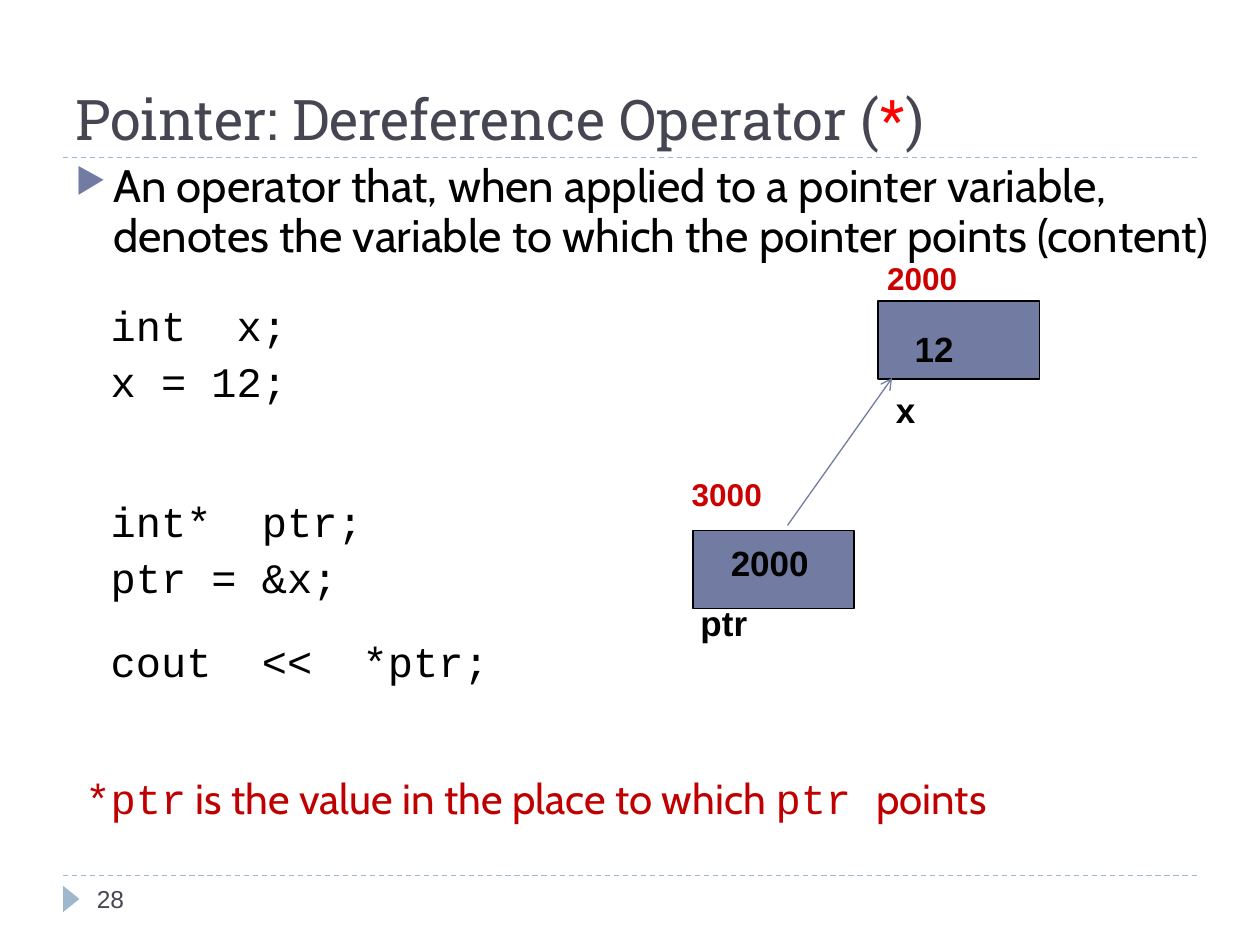
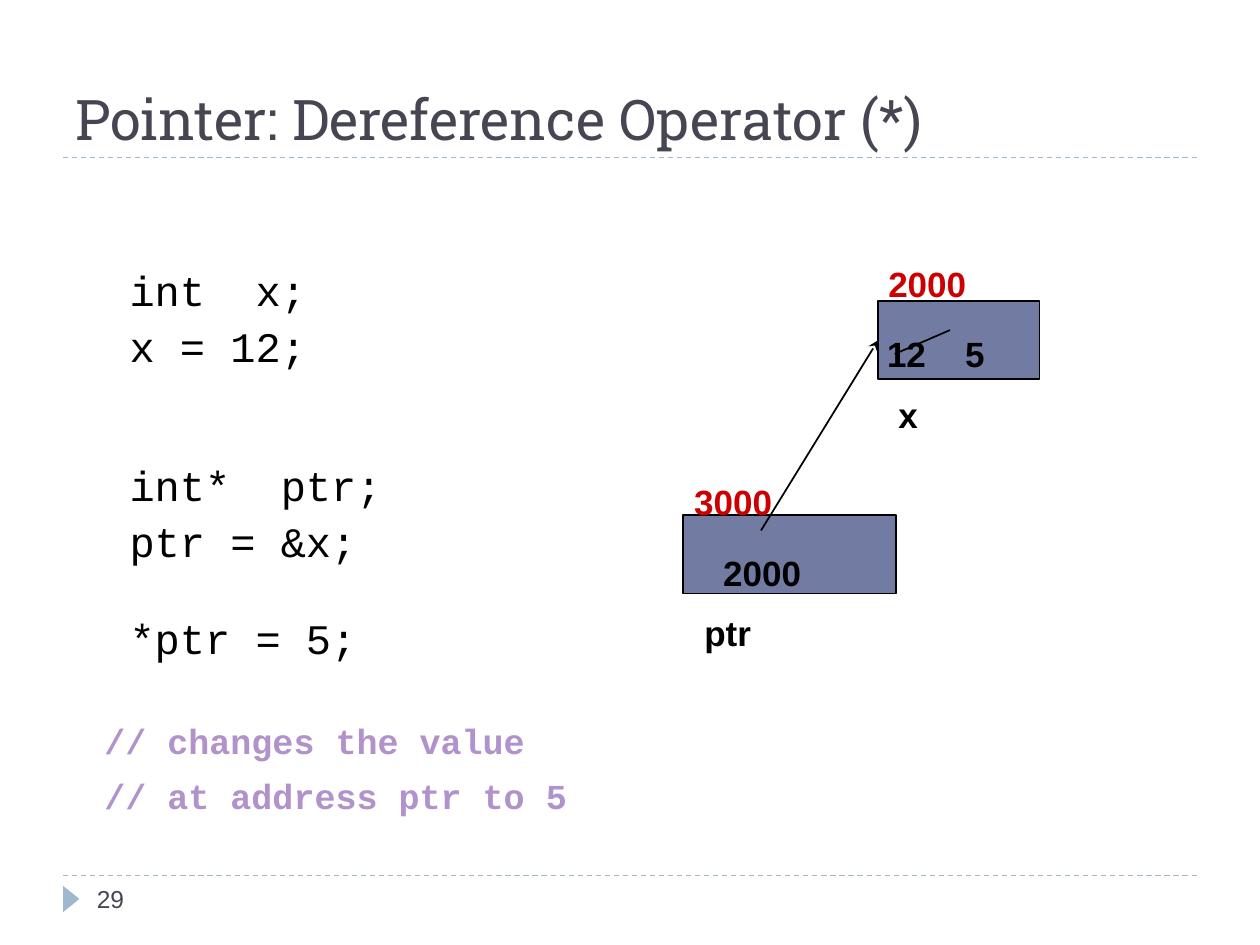
from lxml import etree
from pptx import Presentation
from pptx.dml.color import RGBColor
from pptx.enum.dml import MSO_LINE_DASH_STYLE as Dash
from pptx.enum.shapes import MSO_CONNECTOR as Link, MSO_SHAPE as Preset
from pptx.enum.text import MSO_ANCHOR as Anchor
from pptx.oxml.ns import qn
from pptx.util import Inches, Pt

tint = RGBColor.from_string
INK, SLATE, PALE, BLACK = "464653", "727CA3", "9FB8CD", "000000"
ADDRESS, NOTE, REMARK = "CC0000", "C00000", "B292CA"
HEAD, BODY, CODE, PLAIN = "Roboto Slab", "Cabin", "Courier New", "Arial"

deck = Presentation()
deck.slide_width, deck.slide_height = Inches(10), Inches(7.5)
COL, ROW = deck.slide_width / 100, deck.slide_height / 75


def write(slide, left, top, width, height, paragraphs):
    frame = slide.shapes.add_textbox(
        int(left * COL), int(top * ROW), int(width * COL), int(height * ROW)
    ).text_frame
    frame.word_wrap = True
    for index, pieces in enumerate(paragraphs):
        paragraph = frame.add_paragraph() if index else frame.paragraphs[0]
        for words, face, size, color, bold in pieces:
            run = paragraph.add_run()
            run.text = words
            run.font.name, run.font.size, run.font.bold = face, Pt(size), bold
            run.font.color.rgb = tint(color)
    return frame


def draw_line(slide, start, end, color, weight, tip=None):
    line = slide.shapes.add_connector(
        Link.STRAIGHT, int(start[0] * COL), int(start[1] * ROW),
        int(end[0] * COL), int(end[1] * ROW))
    line.line.color.rgb = tint(color)
    line.line.width = Pt(weight)
    if tip:
        etree.SubElement(line.line._get_or_add_ln(), qn("a:tailEnd"), type=tip)
    etree.SubElement(line._element.spPr, qn("a:effectLst"))
    return line


operator = "Pointer: Dereference Operator ("
declarations = [("int  x;", 0), ("x = 12;", 6), ("int*  ptr;", 53.5), ("ptr = &x;", 6)]

topics = [
    dict(
        number="28", star="FF0000", code_at=(5.8, 23.7),
        code=declarations + [("cout  <<  *ptr;", 22.5)],
        remarks=[([("*ptr", CODE, 24, NOTE, False),
                   (" is the value in the place to which ", BODY, 24, NOTE, False),
                   ("ptr ", CODE, 24, NOTE, False),
                   ("points", BODY, 24, NOTE, False)], 52)],
        pointer_cell=(55, 42.1, 12.8, 6.2),
        arrow=((62.5, 41.7), (70.8, 30), SLATE, 0.75, "arrow"),
        labels=[("2000", 70.4, 20.6, 18, ADDRESS), ("12", 72.6, 26, 20, BLACK),
                ("x", 71.1, 30.8, 20, BLACK), ("3000", 54.9, 37.7, 18, ADDRESS),
                ("2000", 58, 43, 20, BLACK), ("ptr", 55.6, 47.7, 20, BLACK)],
    ),
    dict(
        number="29", star=INK, code_at=(7.3, 20.9),
        code=declarations + [("*ptr = 5;", 29.5)],
        remarks=[([("// changes the value", CODE, 20, REMARK, True)], 30),
                 ([("// at address ptr to 5", CODE, 20, REMARK, True)], 5.5)],
        pointer_cell=(54.2, 40.9, 16.9, 6.2),
        arrow=((60.4, 42.1), (69.7, 27), BLACK, 1, "stealth"),
        labels=[("2000", 70.5, 20.8, 20, ADDRESS), ("12", 70.4, 26.4, 20, BLACK),
                ("5", 76.6, 26.4, 20, BLACK), ("x", 71.3, 31.2, 20, BLACK),
                ("3000", 55.1, 38.1, 20, ADDRESS), ("2000", 57.4, 43.8, 20, BLACK),
                ("ptr", 55.9, 48.5, 20, BLACK)],
    ),
]

for topic in topics:
    slide = deck.slides.add_slide(deck.slide_layouts[6])

    for rule_row in (69.5, 12.5):
        rule = draw_line(slide, (5, rule_row), (95, rule_row), PALE, 0.75)
        rule.line.dash_style = Dash.DASH

    cells = []
    for preset, (left, top, width, height), color in (
            (Preset.ISOSCELES_TRIANGLE, (4.6, 70.7, 2.1, 1.3), PALE),
            (Preset.RECTANGLE, topic["pointer_cell"], SLATE),
            (Preset.RECTANGLE, (69.7, 23.9, 12.8, 6.2), SLATE)):
        cell = slide.shapes.add_shape(
            preset, int(left * COL), int(top * ROW), int(width * COL), int(height * ROW))
        cell.shadow.inherit = False
        cell.fill.solid()
        cell.fill.fore_color.rgb = tint(color)
        cell.line.color.rgb = tint(BLACK)
        cell.line.width = Pt(1)
        cells.append(cell)
    page_marker, pointer_cell, value_cell = cells
    page_marker.rotation = 90
    page_marker.line.fill.background()

    write(slide, 6.7, 69.7, 21.7, 4, [[(topic["number"], PLAIN, 14, INK, False)]])
    title = write(slide, 5, 4.2, 90, 8.3, [[
        (operator, HEAD, 32, INK, False),
        ("*", HEAD, 32, topic["star"], False),
        (")", HEAD, 32, INK, False)]])
    title.vertical_anchor = Anchor.BOTTOM

    if topic["number"] == "28":
        definition = write(slide, 5, 12.5, 93.3, 10, [[
            ("An operator that, when applied to a pointer variable, denotes the "
             "variable to which the pointer points (content)", BODY, 26, BLACK, False)]])
        paragraph = definition.paragraphs[0]
        paragraph.line_spacing = 0.9
        layout = paragraph._p.get_or_add_pPr()
        layout.set("marL", str(Inches(0.3)))
        layout.set("indent", str(-Inches(0.3)))
        bullet_color = etree.SubElement(layout, qn("a:buClr"))
        etree.SubElement(bullet_color, qn("a:srgbClr"), val=SLATE)
        etree.SubElement(layout, qn("a:buSzPct"), val="76000")
        etree.SubElement(layout, qn("a:buChar"), char="▶")

    code_lines = [([(words, CODE, 24, BLACK, False)], gap) for words, gap in topic["code"]]
    listing = code_lines + topic["remarks"]
    program = write(slide, *topic["code_at"], 86, 46.5, [pieces for pieces, gap in listing])
    for index, (paragraph, (pieces, gap)) in enumerate(zip(program.paragraphs, listing)):
        paragraph.line_spacing = Pt(26)
        paragraph.space_before = Pt(gap)
        if index < len(code_lines):
            paragraph._p.get_or_add_pPr().set("marL", str(Inches(0.2)))

    arrow = draw_line(slide, *topic["arrow"])
    if topic["number"] == "29":
        arrow.end_connect(value_cell, 1)

    for words, left, top, size, color in topic["labels"]:
        label = write(slide, left, top, 10, 3.4, [[(words, PLAIN, size, color, True)]])
        label.margin_left = label.margin_right = label.margin_top = label.margin_bottom = 0

    if topic["number"] == "29":
        draw_line(slide, (71, 28.1), (75.4, 26.2), BLACK, 1)

deck.save("out.pptx")
